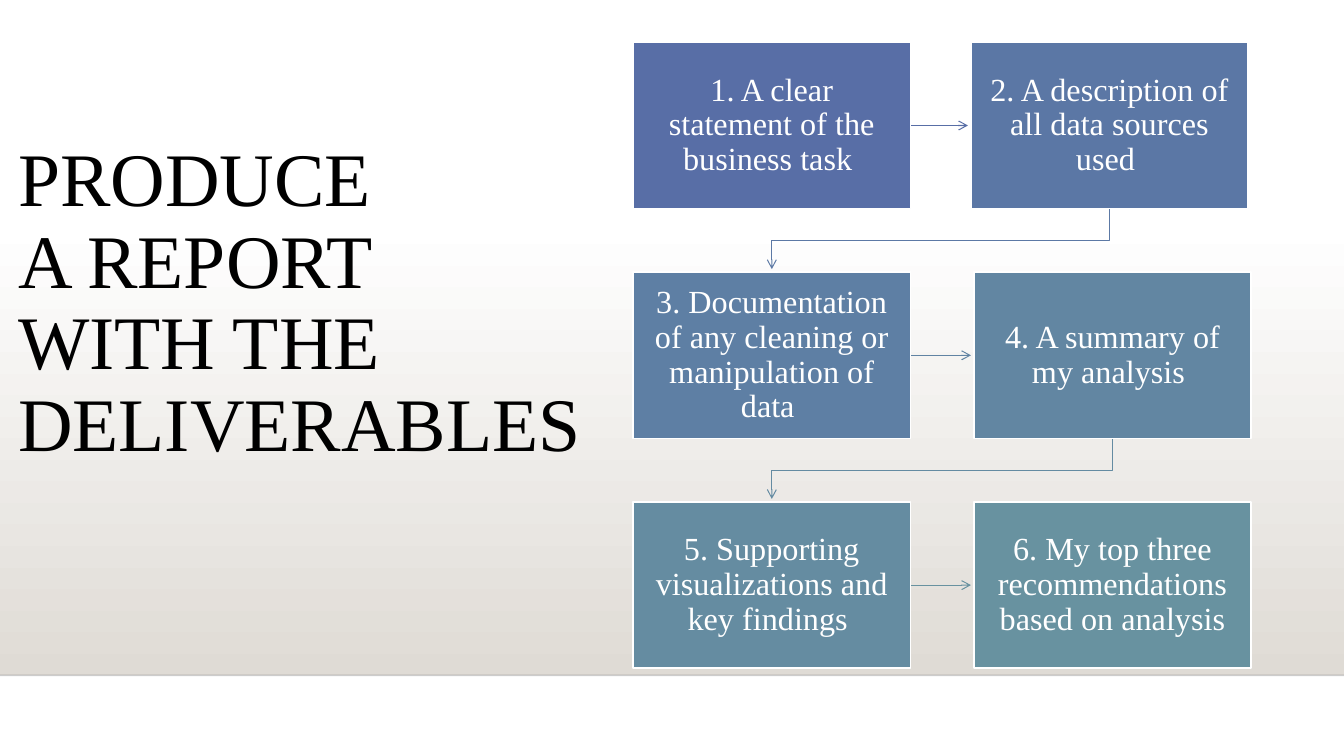
from dataclasses import dataclass
from itertools import pairwise

import pptx
import pptx.dml.color
import pptx.enum.dml
import pptx.enum.shapes
import pptx.enum.text
import pptx.oxml
import pptx.oxml.ns
import pptx.util
from pptx.util import Inches

FONT = "Times New Roman"
COLORS = {"white": "FFFFFF", "black": "000000", "sand": "DFDBD5", "edge": "000001"}
WIDE, HIGH = 2.75, 1.65
TOP, PITCH = 0.42, 2.28
GAP, DROP = 0.03, 0.32


@dataclass
class Step:
    text: str
    left: float
    row: int
    fill: str
    link: str = ""

    @property
    def top(self) -> float:
        return TOP + self.row * PITCH


STEPS = [
    Step("1. A clear statement of the business task ", 6.28, 0, "586EA6", "586EA6"),
    Step("2. A description of all data sources used ", 9.63, 0, "5B77A5", "5C79A5"),
    Step("3. Documentation of any cleaning or manipulation of data ",
         6.28, 1, "5E7FA4", "6083A3"),
    Step("4. A summary of my analysis ", 9.66, 1, "6286A2", "648BA2"),
    Step("5. Supporting visualizations and key findings ",
         6.28, 2, "658CA1", "6892A0"),
    Step("6. My top three recommendations based on analysis", 9.66, 2, "6892A0"),
]


def paint(value: str) -> pptx.dml.color.RGBColor:
    return pptx.dml.color.RGBColor.from_string(value)


def write(shape, text: str, *, size: float, color: str, align, anchor,
          pad: tuple[float, float]) -> None:
    """Fill a shape with one paragraph; pad is the side and top inset."""
    frame = shape.text_frame
    frame.text = text
    frame.word_wrap = True
    frame.auto_size = pptx.enum.text.MSO_AUTO_SIZE.NONE
    frame.vertical_anchor = anchor
    frame.margin_left = frame.margin_right = Inches(pad[0])
    frame.margin_top = frame.margin_bottom = Inches(pad[1])
    para = frame.paragraphs[0]
    para.alignment = align
    para.line_spacing = 0.9
    for run in para.runs:
        run.font.name = FONT
        run.font.size = pptx.util.Pt(size)
        run.font.color.rgb = paint(color)


def stroke(shape, color: str, width: float) -> None:
    shape.line.color.rgb = paint(color)
    shape.line.width = pptx.util.Pt(width)


def add_xml(node, tag: str, **attrs: str):
    child = pptx.oxml.parse_xml(f"<a:{tag} {pptx.oxml.ns.nsdecls('a')}/>")
    for name, value in attrs.items():
        child.set(name, value)
    node.append(child)


def add_line(slide, start: tuple[float, float], end: tuple[float, float]):
    line = slide.shapes.add_connector(
        pptx.enum.shapes.MSO_CONNECTOR.STRAIGHT, *map(Inches, start + end))
    add_xml(line.element.spPr, "effectLst")
    return line


def add_floor(slide) -> None:
    """Draw the shaded band and the thin line below it."""
    band = slide.shapes.add_shape(
        pptx.enum.shapes.MSO_SHAPE.RECTANGLE,
        *map(Inches, (0, 2.21, 13.33, 4.49)))
    band.shadow.inherit = False
    band.line.fill.background()
    band.fill.gradient()
    band.fill.gradient_angle = 270
    for stop, name in zip(band.fill.gradient_stops, ("white", "sand")):
        stop.color.rgb = paint(COLORS[name])
    edge = add_line(slide, (0, 6.7), (13.33, 6.7))
    stroke(edge, COLORS["edge"], 1)
    tint = edge.element.spPr.find(".//" + pptx.oxml.ns.qn("a:srgbClr"))
    add_xml(tint, "alpha", val="20000")


def add_link(slide, step: Step, goal: Step) -> None:
    """Join two steps: straight along a row, bent down to the next row."""
    if step.row == goal.row:
        mid = step.top + HIGH / 2
        link = add_line(slide, (step.left + WIDE, mid), (goal.left - GAP, mid))
    else:
        base = step.top + HIGH
        start, end = step.left + WIDE / 2, goal.left + WIDE / 2
        path = [(start, base), (start, base + DROP), (end, base + DROP),
                (end, goal.top - GAP)]
        points = [(Inches(x), Inches(y)) for x, y in path]
        form = slide.shapes.build_freeform(*points[0])
        form.add_line_segments(points[1:], close=False)
        link = form.convert_to_shape()
        link.shadow.inherit = False
        link.fill.background()
    stroke(link, step.link, 0.75)
    add_xml(link.line._get_or_add_ln(), "tailEnd", type="arrow")


def add_step(slide, step: Step) -> None:
    box = slide.shapes.add_shape(
        pptx.enum.shapes.MSO_SHAPE.RECTANGLE,
        *map(Inches, (step.left, step.top, WIDE, HIGH)))
    box.shadow.inherit = False
    box.fill.solid()
    box.fill.fore_color.rgb = paint(step.fill)
    stroke(box, COLORS["white"], 1.25)
    write(box, step.text, size=23, color=COLORS["white"],
          align=pptx.enum.text.PP_ALIGN.CENTER,
          anchor=pptx.enum.text.MSO_ANCHOR.MIDDLE, pad=(0.13, 0.14))


def add_title(slide) -> None:
    title = slide.shapes.title
    title.left, title.top, title.width, title.height = map(
        Inches, (0.08, 1.35, 6.09, 4.36))
    write(title, "PRODUCE \vA REPORT \vWITH THE DELIVERABLES", size=54,
          color=COLORS["black"], align=pptx.enum.text.PP_ALIGN.LEFT,
          anchor=pptx.enum.text.MSO_ANCHOR.TOP, pad=(0.1, 0.05))
    slide.shapes.element.append(title.element)  # bring in front of the band


def main() -> None:
    deck = pptx.Presentation()
    deck.slide_width, deck.slide_height = Inches(13.33), Inches(7.5)
    slide = deck.slides.add_slide(deck.slide_layouts.get_by_name("Title Only"))
    add_floor(slide)
    add_title(slide)
    for step, goal in pairwise(STEPS):
        add_link(slide, step, goal)
    for step in STEPS:
        add_step(slide, step)
    deck.save("out.pptx")


if __name__ == "__main__":
    main()
